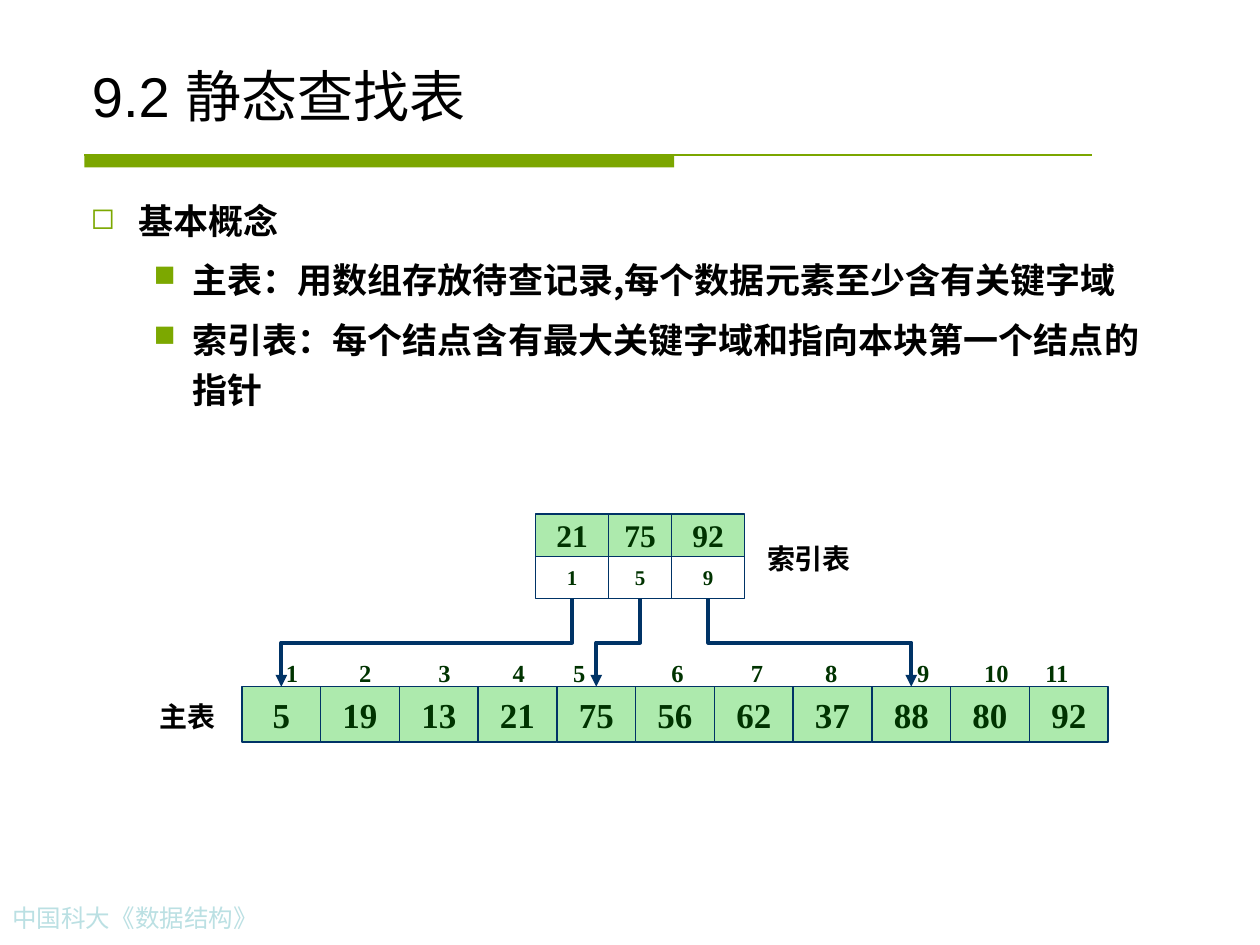
from dataclasses import dataclass
from itertools import accumulate

from lxml.etree import SubElement
from pptx import Presentation
from pptx.dml.color import RGBColor
from pptx.enum.shapes import MSO_CONNECTOR as Connector, MSO_SHAPE as Shape
from pptx.enum.text import MSO_ANCHOR as Anchor, PP_ALIGN as Align
from pptx.oxml.ns import qn
from pptx.util import Inches, Pt

# Content
TITLE = "9.2 静态查找表"
FOOTER = "中国科大《数据结构》"
BULLETS = [
    (0, "基本概念"),
    (1, "主表：用数组存放待查记录,每个数据元素至少含有关键字域"),
    (1, "索引表：每个结点含有最大关键字域和指向本块第一个结点的指针"),
]
MAIN_TABLE = [5, 19, 13, 21, 75, 56, 62, 37, 88, 80, 92]
INDEX_TABLE = [(21, 1), (75, 5), (92, 9)]  # largest key, first position of block
POSITION_TABS = [0.1, 0.68, 1.31, 1.9, 2.38, 3.16, 3.79, 4.38, 5.11, 5.69, 6.17]
MAIN_LABEL, INDEX_LABEL = "主表", "索引表"

# Geometry in inches
MAIN_LEFT, MAIN_TOP, MAIN_WIDTH, MAIN_HEIGHT = 1.92, 5.45, 0.625, 0.44
INDEX_LEFT, INDEX_TOP, INDEX_HEIGHT = 4.25, 4.08, 0.335
INDEX_WIDTHS = [0.58, 0.5, 0.58]
# level: (bullet, left margin, hanging indent)
LEVELS = {0: ("◻", 0.38, 0.38), 1: ("■", 0.81, 0.31)}


@dataclass(frozen=True)
class Theme:
    green: str = "7BA600"
    bullet: str = "7CA800"
    cell: str = "33CC33"
    outline: str = "003366"
    cell_text: str = "003300"
    text: str = "000000"
    footer: str = "BBE0E3"
    serif: str = "Times New Roman"
    title_font: str = "Arial"
    body_font: str = "Noto Sans CJK SC"
    label_font: str = "Cabin"
    title_size: int = 32
    body_size: int = 20
    key_size: int = 18
    label_size: int = 16
    small_size: int = 14
    pointer_size: int = 12


theme = Theme()


def color(value):
    return RGBColor.from_string(value)


def set_font(paragraph, name, size, value, bold=False):
    font = paragraph.font
    font.name, font.size, font.bold = name, Pt(size), bold
    font.color.rgb = color(value)


def add_text(slide, box, text, font, align=Align.LEFT):
    text_box = slide.shapes.add_textbox(*map(Inches, box))
    text_box.text_frame.word_wrap = True
    paragraph = text_box.text_frame.paragraphs[0]
    paragraph.text, paragraph.alignment = text, align
    set_font(paragraph, *font)
    return text_box


def add_cell(slide, box, value, size, filled=True):
    cell = slide.shapes.add_shape(Shape.RECTANGLE, *map(Inches, box))
    cell.shadow.inherit = False
    if filled:
        cell.fill.solid()
        cell.fill.fore_color.rgb = color(theme.cell)
        rgb = cell._element.spPr.find(qn("a:solidFill")).find(qn("a:srgbClr"))
        SubElement(rgb, qn("a:alpha"), val="40000")
    else:
        cell.fill.background()
    cell.line.color.rgb, cell.line.width = color(theme.outline), Pt(0.75)
    frame = cell.text_frame
    frame.word_wrap, frame.vertical_anchor = False, Anchor.MIDDLE
    paragraph = frame.paragraphs[0]
    paragraph.text, paragraph.alignment = str(value), Align.CENTER
    set_font(paragraph, theme.serif, size, theme.cell_text, True)
    return cell


def add_line(slide, kind, start, end, value, width):
    line = slide.shapes.add_connector(kind, *start, *end)
    line.line.color.rgb, line.line.width = color(value), Pt(width)
    SubElement(line._element.spPr, qn("a:effectLst"))
    return line


def add_pointer(slide, source, target):
    """Elbow arrow that leaves the source downwards and enters the target's top."""
    start_x, start_y = source.left + source.width // 2, source.top + source.height
    end_x, end_y = target.left + target.width // 2, target.top
    arrow = add_line(slide, Connector.ELBOW, (start_x, start_y), (end_x, end_y),
                     theme.outline, 2.25)
    arrow.begin_connect(source, 2)
    arrow.end_connect(target, 0)
    # A quarter turn makes the first leg vertical
    drop, run = end_y - start_y, abs(end_x - start_x)
    arrow.left = (start_x + end_x - drop) // 2
    arrow.top = (start_y + end_y - run) // 2
    arrow.width, arrow.height = drop, run
    transform = arrow._element.spPr.find(qn("a:xfrm"))
    for flip in ("flipH", "flipV"):
        transform.attrib.pop(flip, None)
    rightward = end_x > start_x
    transform.set("rot", str((270 if rightward else 90) * 60000))
    if rightward:
        transform.set("flipH", "1")
    SubElement(arrow.line._get_or_add_ln(), qn("a:tailEnd"), type="triangle")


def add_bullets(slide):
    frame = slide.shapes.add_textbox(*map(Inches, (0.62, 1.47, 8.75, 5.43))).text_frame
    frame.word_wrap = True
    for number, (level, text) in enumerate(BULLETS):
        paragraph = frame.add_paragraph() if number else frame.paragraphs[0]
        paragraph.text, paragraph.level = text, level
        symbol, margin, hanging = LEVELS[level]
        properties = paragraph._p.get_or_add_pPr()
        properties.set("marL", str(Inches(margin)))
        properties.set("indent", str(-Inches(hanging)))
        SubElement(SubElement(properties, qn("a:buClr")), qn("a:srgbClr"), val=theme.bullet)
        SubElement(properties, qn("a:buSzPct"), val="85000")
        SubElement(properties, qn("a:buChar"), char=symbol)
        paragraph.line_spacing = 1.2
        paragraph.space_before = Pt(5 if number else 0)
        set_font(paragraph, theme.body_font, theme.body_size, theme.text, True)


def add_positions(slide):
    """Position numbers above the main table, set on centred tab stops."""
    labels = [str(number) for number in range(1, len(MAIN_TABLE) + 1)]
    text_box = add_text(slide, (2.12, 5.17, 6.54, 0.34), "", (theme.serif, theme.small_size, theme.cell_text, True))
    paragraph = text_box.text_frame.paragraphs[0]
    paragraph.text = "\t" + "\t".join(labels)
    properties = paragraph._p.get_or_add_pPr()
    tabs = SubElement(properties, qn("a:tabLst"))
    for stop in POSITION_TABS:
        SubElement(tabs, qn("a:tab"), pos=str(Inches(stop)), algn="ctr")
    properties.insert(0, tabs)


def main():
    presentation = Presentation()
    presentation.slide_width, presentation.slide_height = Inches(10), Inches(7.5)
    slide = presentation.slides.add_slide(presentation.slide_layouts[5])

    # Title and its rule
    bar = slide.shapes.add_shape(Shape.RECTANGLE, *map(Inches, (0.67, 1.23, 4.68, 0.1)))
    bar.shadow.inherit = False
    bar.fill.solid()
    bar.fill.fore_color.rgb = color(theme.green)
    bar.line.fill.background()
    add_line(slide, Connector.STRAIGHT, map(Inches, (0.67, 1.23)), map(Inches, (8.67, 1.23)),
             theme.green, 0.75)
    title = slide.shapes.title
    title.left, title.top, title.width, title.height = map(Inches, (0.63, 0.33, 8.75, 0.74))
    title.text_frame.text = TITLE
    title.text_frame.vertical_anchor = Anchor.BOTTOM
    paragraph = title.text_frame.paragraphs[0]
    paragraph.alignment = Align.LEFT
    set_font(paragraph, theme.title_font, theme.title_size, theme.text)

    # Body and footer
    add_bullets(slide)
    add_text(slide, (0, 7.12, 3.11, 0.34), FOOTER, (theme.serif, theme.small_size, theme.footer))

    # Main table
    add_positions(slide)
    main_cells = [
        add_cell(slide, (MAIN_LEFT + column * MAIN_WIDTH, MAIN_TOP, MAIN_WIDTH, MAIN_HEIGHT),
                 value, theme.body_size)
        for column, value in enumerate(MAIN_TABLE)
    ]

    # Index table with pointers into the main table
    lefts = accumulate(INDEX_WIDTHS, initial=INDEX_LEFT)
    for left, width, (key, position) in zip(lefts, INDEX_WIDTHS, INDEX_TABLE):
        add_cell(slide, (left, INDEX_TOP, width, INDEX_HEIGHT), key, theme.key_size)
        pointer = add_cell(slide, (left, INDEX_TOP + INDEX_HEIGHT, width, INDEX_HEIGHT),
                           position, theme.pointer_size, filled=False)
        add_pointer(slide, pointer, main_cells[position - 1])

    # Table names
    label_font = (theme.label_font, theme.label_size, theme.text, True)
    add_text(slide, (1.17, 5.5, 0.67, 0.37), MAIN_LABEL, label_font)
    add_text(slide, (5.92, 4.25, 1, 0.37), INDEX_LABEL, label_font, Align.CENTER)

    presentation.save("out.pptx")


if __name__ == "__main__":
    main()
